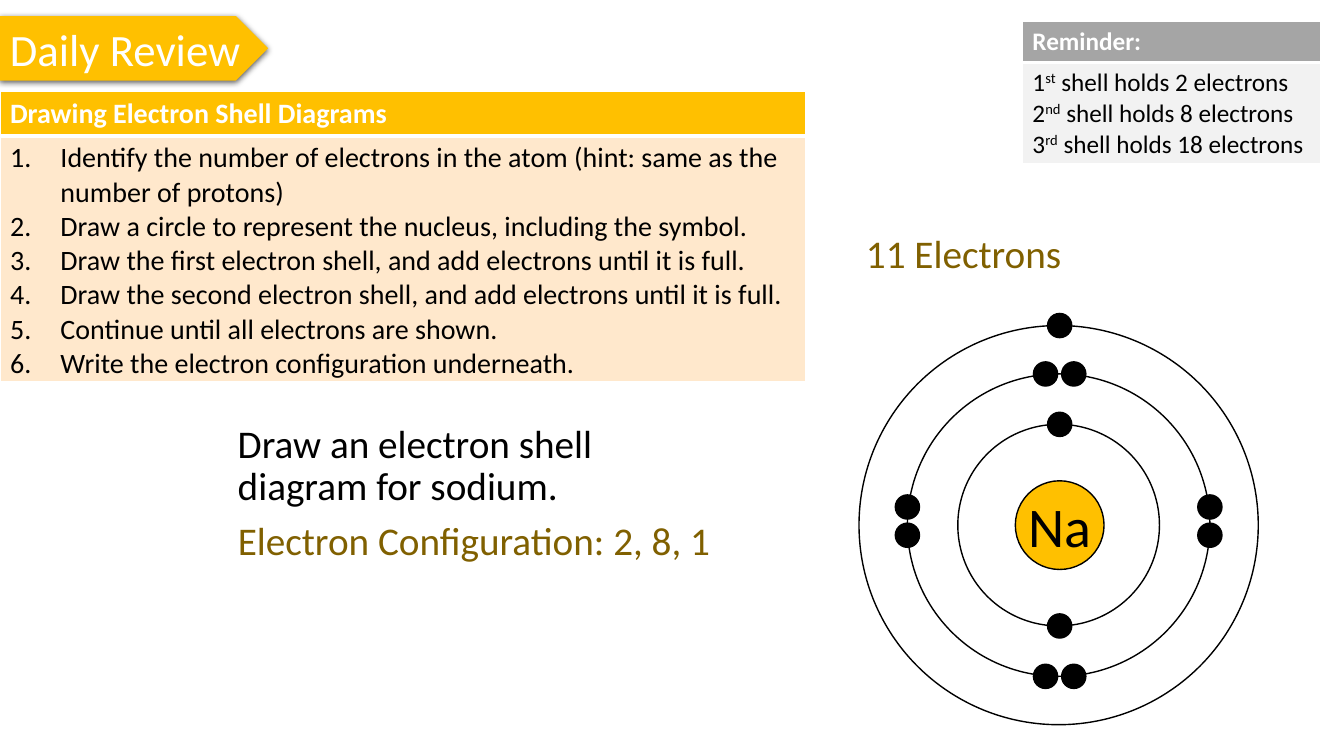
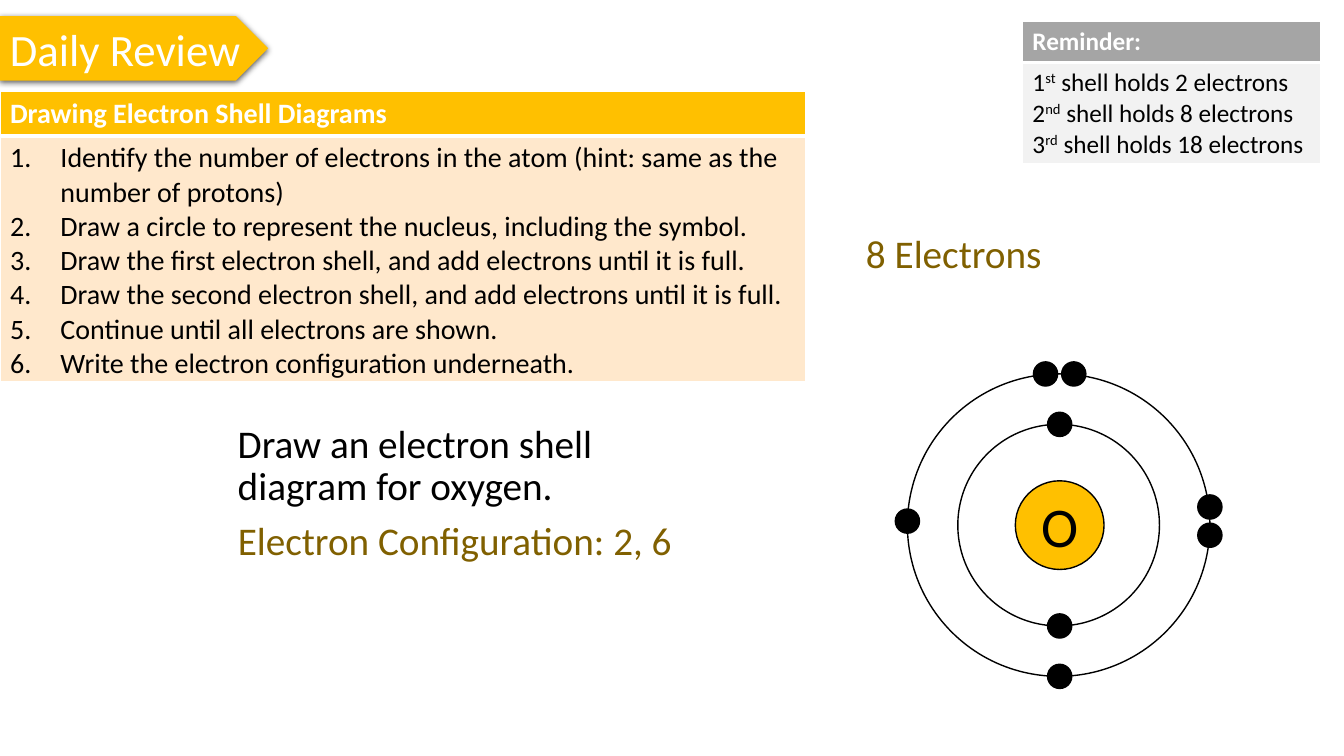
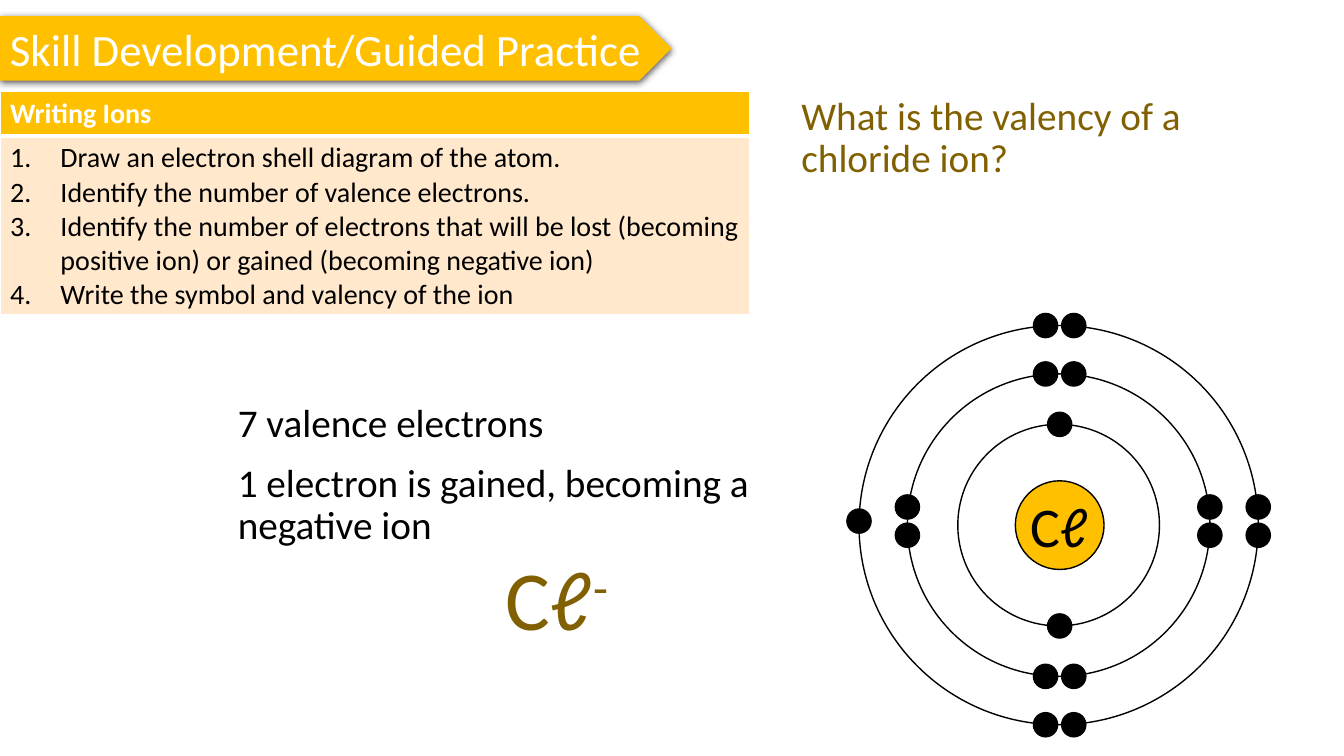
from lxml import etree
from pptx import Presentation
from pptx.dml.color import RGBColor
from pptx.enum import shapes, text
from pptx.oxml import ns
from pptx.util import Inches, Pt

FONT = "Calibri"
COLORS = {
    "gold": "FFC000",
    "cream": "FFE8CC",
    "gray": "A5A5A5",
    "pale": "F2F2F2",
    "answer": "806000",
    "black": "000000",
    "white": "FFFFFF",
}

CENTER_X, CENTER_Y = 10.5, 5.21
NUCLEUS_RADIUS = 0.44
SHELL_RADII = [1, 1.5, 1.98]
ELECTRON_RADIUS = 0.12
PAIR_OFFSET = 0.14
SIDE_LIFT = 0.04

SHELL_STEPS = [
    "Identify the number of electrons in the atom (hint: same as the number of protons)",
    "Draw a circle to represent the nucleus, including the symbol.",
    "Draw the first electron shell, and add electrons until it is full.",
    "Draw the second electron shell, and add electrons until it is full.",
    "Continue until all electrons are shown.",
    "Write the electron configuration underneath.",
]
ION_STEPS = [
    "Draw an electron shell diagram of the atom.",
    "Identify the number of valence electrons.",
    "Identify the number of electrons that will be lost (becoming positive ion)"
    " or gained (becoming negative ion)",
    "Write the symbol and valency of the ion",
]
SHELL_LIMITS = [
    "1^st^ shell holds 2 electrons",
    "2^nd^ shell holds 8 electrons",
    "3^rd^ shell holds 18 electrons",
]

# Electrons at the top, right, bottom and left of a shell
FIRST_SHELL = (1, 0, 1, 0)
FULL_SHELL = (2, 2, 2, 2)


def rgb(name):
    return RGBColor.from_string(COLORS[name])


def sub(parent, tag, **attrs):
    el = etree.SubElement(parent, ns.qn(tag))
    for key, value in attrs.items():
        el.set(key, str(value))
    return el


def set_fill(filled, color):
    filled.fill.solid()
    filled.fill.fore_color.rgb = rgb(color)


def add_runs(p, content, size, color, bold=False):
    """Add runs to a paragraph; text between ^ marks is superscript."""
    for i, part in enumerate(content.split("^")):
        if not part:
            continue
        r = p.add_run()
        r.text = part
        r.font.name = FONT
        r.font.size = Pt(size)
        r.font.bold = bold
        r.font.color.rgb = rgb(color)
        if i % 2:
            r.font._element.set("baseline", "30000")


def paragraphs(tf, lines):
    """Yield a paragraph of the frame with each line."""
    for i, line in enumerate(lines):
        yield (tf.add_paragraph() if i else tf.paragraphs[0]), line


def add_text(slide, x, y, w, h, lines, color="black", size=28):
    tf = slide.shapes.add_textbox(Inches(x), Inches(y), Inches(w), Inches(h)).text_frame
    tf.word_wrap = True
    for p, line in paragraphs(tf, lines):
        p.line_spacing = 0.9
        p.space_after = Pt(12)
        add_runs(p, line, size, color)


def add_title(slide, title, w):
    sp = slide.shapes.add_shape(
        shapes.MSO_SHAPE.PENTAGON, 0, Inches(0.16), Inches(w), Inches(0.64))
    set_fill(sp, "gold")
    sp.line.fill.background()
    sp.shadow.inherit = False
    effects = sp._element.spPr.find(ns.qn("a:effectLst"))
    shadow = sub(effects, "a:outerShdw", blurRad=Pt(4.5), dist=Pt(1.5),
                 dir=90 * 60000, algn="ctr", rotWithShape=0)
    sub(sub(shadow, "a:srgbClr", val=COLORS["black"]), "a:alpha", val=63000)
    tf = sp.text_frame
    tf.word_wrap = False
    p = tf.paragraphs[0]
    p.alignment = text.PP_ALIGN.LEFT
    add_runs(p, title, 32, "white")


def set_borders(cell, bottom, top):
    tcPr = cell._tc.get_or_add_tcPr()
    for tag, width in (("a:lnL", 1), ("a:lnR", 1), ("a:lnT", top), ("a:lnB", bottom)):
        ln = sub(tcPr, tag, w=Pt(width))
        sub(sub(ln, "a:solidFill"), "a:srgbClr", val=COLORS["white"])


def number(p):
    pPr = p._p.get_or_add_pPr()
    pPr.set("marL", str(Inches(0.5)))
    pPr.set("indent", str(-Inches(0.5)))
    sub(pPr, "a:buFont", typeface="+mj-lt")
    sub(pPr, "a:buAutoNum", type="arabicPeriod")


def add_panel(slide, x, y, w, heights, heading, lines, fills, size, numbered=False):
    """Add a one-column table: a heading row above a row of lines."""
    table = slide.shapes.add_table(
        2, 1, Inches(x), Inches(y), Inches(w), Inches(sum(heights))).table
    for row, h in zip(table.rows, heights):
        row.height = Inches(h)
    head, body = table.cell(0, 0), table.cell(1, 0)
    set_borders(head, bottom=3, top=1)
    set_borders(body, bottom=1, top=3)
    for cell, color in zip((head, body), fills):
        set_fill(cell, color)
    add_runs(head.text_frame.paragraphs[0], heading, size, "white", bold=True)
    for p, line in paragraphs(body.text_frame, lines):
        if numbered:
            number(p)
        add_runs(p, line, size, "black")


def add_steps(slide, w, body_height, heading, steps):
    add_panel(slide, 0, 0.91, w, (0.44, body_height), heading, steps,
              ("gold", "cream"), 20, numbered=True)


def add_reminder(slide):
    add_panel(slide, 10.14, 0.21, 2.96, (0.41, 1), "Reminder:", SHELL_LIMITS,
              ("gray", "pale"), 18)


def add_circle(sps, x, y, radius, color=None):
    sp = sps.add_shape(shapes.MSO_SHAPE.OVAL, Inches(x - radius), Inches(y - radius),
                       Inches(2 * radius), Inches(2 * radius))
    sp.shadow.inherit = False
    if color:
        set_fill(sp, color)
    else:
        sp.fill.background()
    sp.line.color.rgb = rgb("black")
    sp.line.width = Pt(1)
    return sp


def add_shell(sps, radius, counts):
    add_circle(sps, CENTER_X, CENTER_Y, radius)
    for (dx, dy), count in zip([(0, -1), (1, 0), (0, 1), (-1, 0)], counts):
        for offset in [(), (0,), (-PAIR_OFFSET, PAIR_OFFSET)][count]:
            x = CENTER_X + dx * radius + abs(dy) * (offset + 0.01)
            y = CENTER_Y + dy * radius + abs(dx) * (offset - SIDE_LIFT)
            add_circle(sps, x, y, ELECTRON_RADIUS, "black")


def add_atom(slide, symbol, shells):
    sps = slide.shapes.add_group_shape().shapes
    nucleus = add_circle(sps, CENTER_X + 0.01, CENTER_Y, NUCLEUS_RADIUS, "gold")
    tf = nucleus.text_frame
    tf.word_wrap = False
    tf.margin_left = tf.margin_right = tf.margin_top = tf.margin_bottom = 0
    p = tf.paragraphs[0]
    p.alignment = text.PP_ALIGN.CENTER
    add_runs(p, symbol, 40, "black")
    for radius, counts in zip(SHELL_RADII, shells):
        add_shell(sps, radius, counts)


def add_slide(prs, title, title_width):
    slide = prs.slides.add_slide(prs.slide_layouts[6])
    add_title(slide, title, title_width)
    return slide


def add_review(prs, element, symbol, shells):
    slide = add_slide(prs, "Daily Review", 2.66)
    totals = [sum(counts) for counts in shells]
    add_text(slide, 2.26, 4.16, 4.9, 0.86,
             [f"Draw an electron shell diagram for {element}."])
    add_steps(slide, 7.99, 2.43, "Drawing Electron Shell Diagrams", SHELL_STEPS)
    add_reminder(slide)
    add_atom(slide, symbol, shells)
    add_text(slide, 2.26, 5.13, 5.29, 0.86,
             ["Electron Configuration: " + ", ".join(map(str, totals))], "answer")
    add_text(slide, 8.49, 2.28, 4.61, 0.86, [f"{sum(totals)} Electrons"], "answer")


def add_ion_practice(prs):
    slide = add_slide(prs, "Skill Development/Guided Practice", 6.66)
    add_text(slide, 2.26, 3.96, 6.22, 1.34,
             ["7 valence electrons", "1 electron is gained, becoming a negative ion"])
    add_steps(slide, 7.43, 1.77, "Writing Ions", ION_STEPS)
    add_text(slide, 4.92, 5.49, 1.32, 0.86, ["Cℓ^-^"], "answer", 60)
    add_atom(slide, "Cℓ", [FIRST_SHELL, FULL_SHELL, (2, 2, 2, 1)])
    add_text(slide, 7.85, 0.91, 4.51, 0.86,
             ["What is the valency of a chloride ion?"], "answer")


def main():
    prs = Presentation()
    prs.slide_width, prs.slide_height = Inches(13.33), Inches(7.5)
    add_review(prs, "sodium", "Na", [FIRST_SHELL, FULL_SHELL, (1, 0, 0, 0)])
    add_review(prs, "oxygen", "O", [FIRST_SHELL, (2, 2, 1, 1)])
    add_ion_practice(prs)
    prs.save("out.pptx")


if __name__ == "__main__":
    main()
